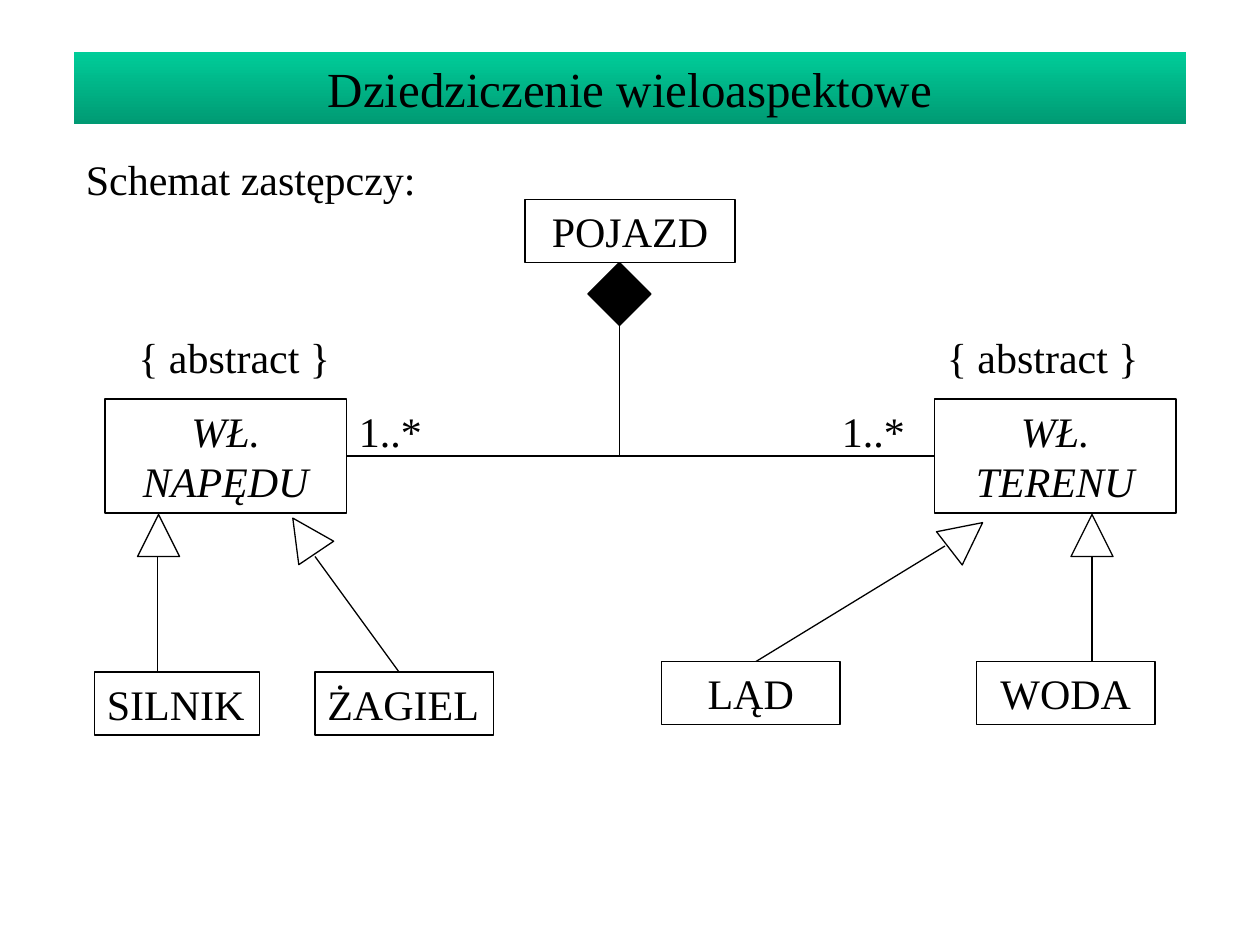
from lxml import etree
from pptx import Presentation
from pptx.dml.color import RGBColor
from pptx.enum.shapes import MSO_CONNECTOR, MSO_SHAPE
from pptx.enum.text import MSO_ANCHOR, MSO_AUTO_SIZE, PP_ALIGN
from pptx.oxml.ns import qn
from pptx.util import Inches, Pt

BLACK = RGBColor(0x00, 0x00, 0x00)
GREEN = RGBColor(0x00, 0xCC, 0x99)
DARK_GREEN = RGBColor(0x00, 0x9A, 0x73)
RECTANGLE = MSO_SHAPE.RECTANGLE
TRIANGLE = MSO_SHAPE.FLOWCHART_EXTRACT
DIAMOND = MSO_SHAPE.DIAMOND
STRAIGHT = MSO_CONNECTOR.STRAIGHT
LEFT, CENTER = PP_ALIGN.LEFT, PP_ALIGN.CENTER
TOP = MSO_ANCHOR.TOP
GROW = MSO_AUTO_SIZE.SHAPE_TO_FIT_TEXT
BOTTOM_SITE, LEFT_SITE, RIGHT_SITE = 2, 1, 3
COLUMNS, ROWS = 120, 90


def write_text(box, text, size=24, align=LEFT, italic=False):
    frame = box.text_frame
    frame.word_wrap = True
    frame.auto_size = GROW
    frame.vertical_anchor = TOP
    para = frame.paragraphs[0]
    para.alignment = align
    span = para.add_run()
    span.text = text
    span.font.name = "Times New Roman"
    span.font.size = Pt(size)
    span.font.italic = italic
    span.font.color.rgb = BLACK


class ClassDiagram:
    """Draws UML elements on one slide, placed by grid columns and rows."""

    def __init__(self, deck):
        self.cell_width = deck.slide_width / COLUMNS
        self.cell_height = deck.slide_height / ROWS
        self.line_width = Pt(0.75)
        self.shapes = deck.slides.add_slide(deck.slide_layouts[6]).shapes

    def place(self, column, row):
        return round(column * self.cell_width), round(row * self.cell_height)

    def outline(self, item):
        item.line.color.rgb = BLACK
        item.line.width = self.line_width

    def shape(self, kind, column, row, width, height):
        shape = self.shapes.add_shape(
            kind, *self.place(column, row), *self.place(width, height))
        shape.shadow.inherit = False
        shape.fill.background()
        self.outline(shape)
        return shape

    def title(self, text, column, row, width, height):
        banner = self.shape(RECTANGLE, column, row, width, height)
        banner.line.fill.background()
        banner.fill.gradient()
        banner.fill.gradient_angle = 270
        for stop, color in zip(banner.fill.gradient_stops, (GREEN, DARK_GREEN)):
            stop.color.rgb = color
        write_text(banner, text, size=28, align=CENTER)

    def label(self, text, column, row, width):
        box = self.shapes.add_textbox(
            *self.place(column, row), *self.place(width, 6))
        write_text(box, text)

    def class_box(self, text, column, row, width, height=6, **text_format):
        box = self.shape(RECTANGLE, column, row, width, height)
        write_text(box, text, **text_format)
        return box

    def triangle(self, column, row, rotation=0):
        self.shape(TRIANGLE, column, row, 4, 4).rotation = rotation

    def diamond(self, column, row):
        diamond = self.shape(DIAMOND, column, row, 6, 6)
        diamond.fill.solid()
        diamond.fill.fore_color.rgb = BLACK
        return diamond

    def line(self, start, end):
        connector = self.shapes.add_connector(
            STRAIGHT, *self.place(*start), *self.place(*end))
        self.outline(connector)
        etree.SubElement(connector.element.spPr, qn("a:effectLst"))
        return connector


def main():
    deck = Presentation()
    deck.slide_width, deck.slide_height = Inches(10), Inches(7.5)
    diagram = ClassDiagram(deck)

    diagram.title("Dziedziczenie wieloaspektowe", 7, 5, 106, 6.85)
    diagram.label("Schemat zastępczy:", 7, 14, 97)

    diagram.class_box("POJAZD", 50, 19, 20, align=CENTER)
    drive, terrain = [
        diagram.class_box(text, column, 38, 23, 10.85, align=CENTER, italic=True)
        for text, column in (("WŁ. NAPĘDU", 10), ("WŁ. TERENU", 89))]
    for column in (79, 33):
        diagram.label("1..*", column, 38, 9)
    for column in (12, 89):
        diagram.label("{ abstract }", column, 31, 23)

    for text, column, row, width, align in (
            ("SILNIK", 9, 64, 15.75, LEFT), ("ŻAGIEL", 30, 64, 17, LEFT),
            ("LĄD", 63, 63, 17, CENTER), ("WODA", 93, 63, 17, CENTER)):
        diagram.class_box(text, column, row, width, align=align)

    for column, rotation in ((13.1, 0), (27, 326.1), (90, 52.3), (102, 0)):
        diagram.triangle(column, 49, rotation)
    for start, end in (((15, 53), (15, 64)), ((30, 53), (38, 64)),
                       ((90, 52), (72, 63)), ((104, 53), (104, 63))):
        diagram.line(start, end)

    diamond = diagram.diamond(56, 25)
    association = diagram.line((33, 43.4), (89, 43.4))
    association.begin_connect(drive, RIGHT_SITE)
    association.end_connect(terrain, LEFT_SITE)
    diagram.line((59, 31), (59, 43.5)).begin_connect(diamond, BOTTOM_SITE)

    deck.save("out.pptx")


if __name__ == "__main__":
    main()
